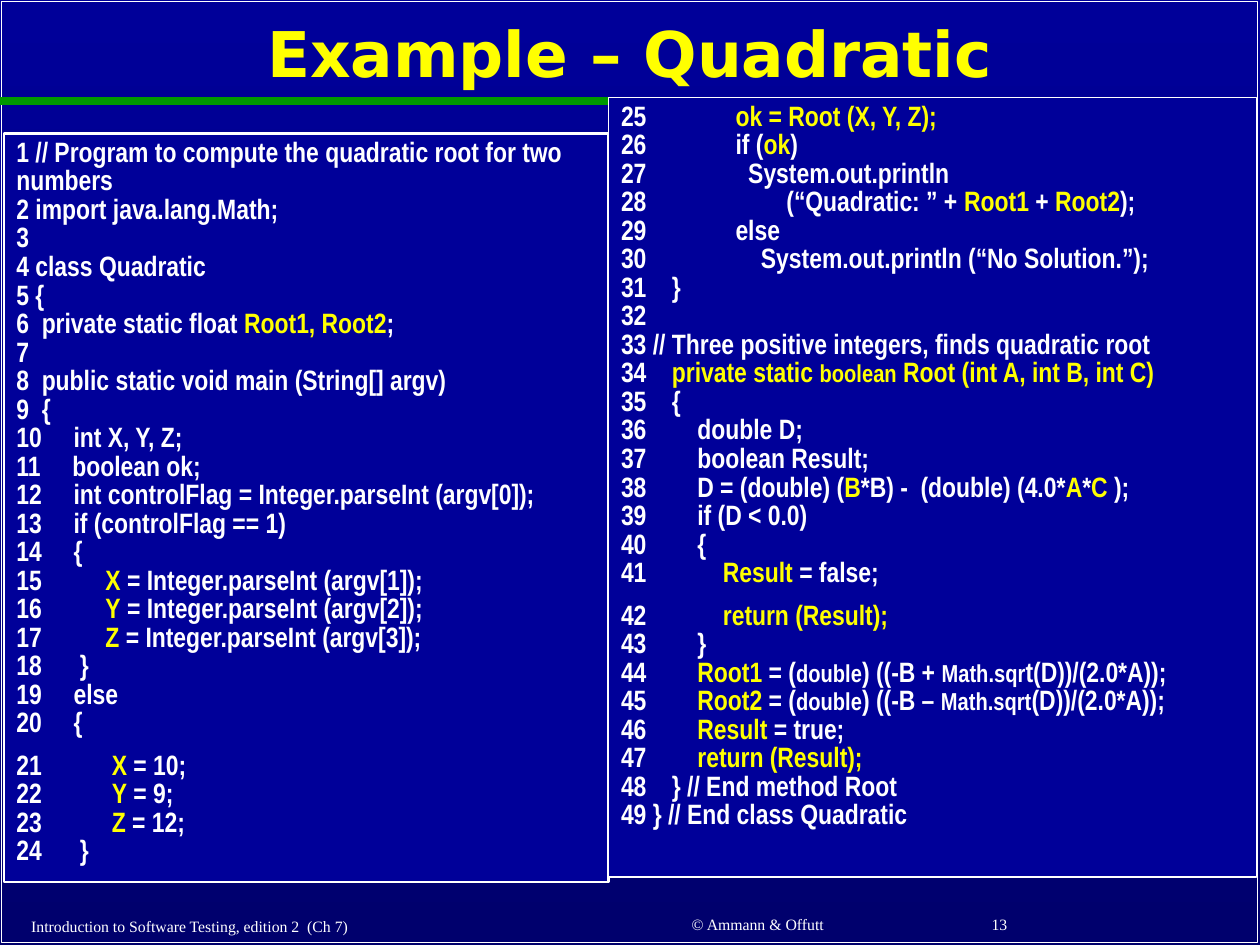
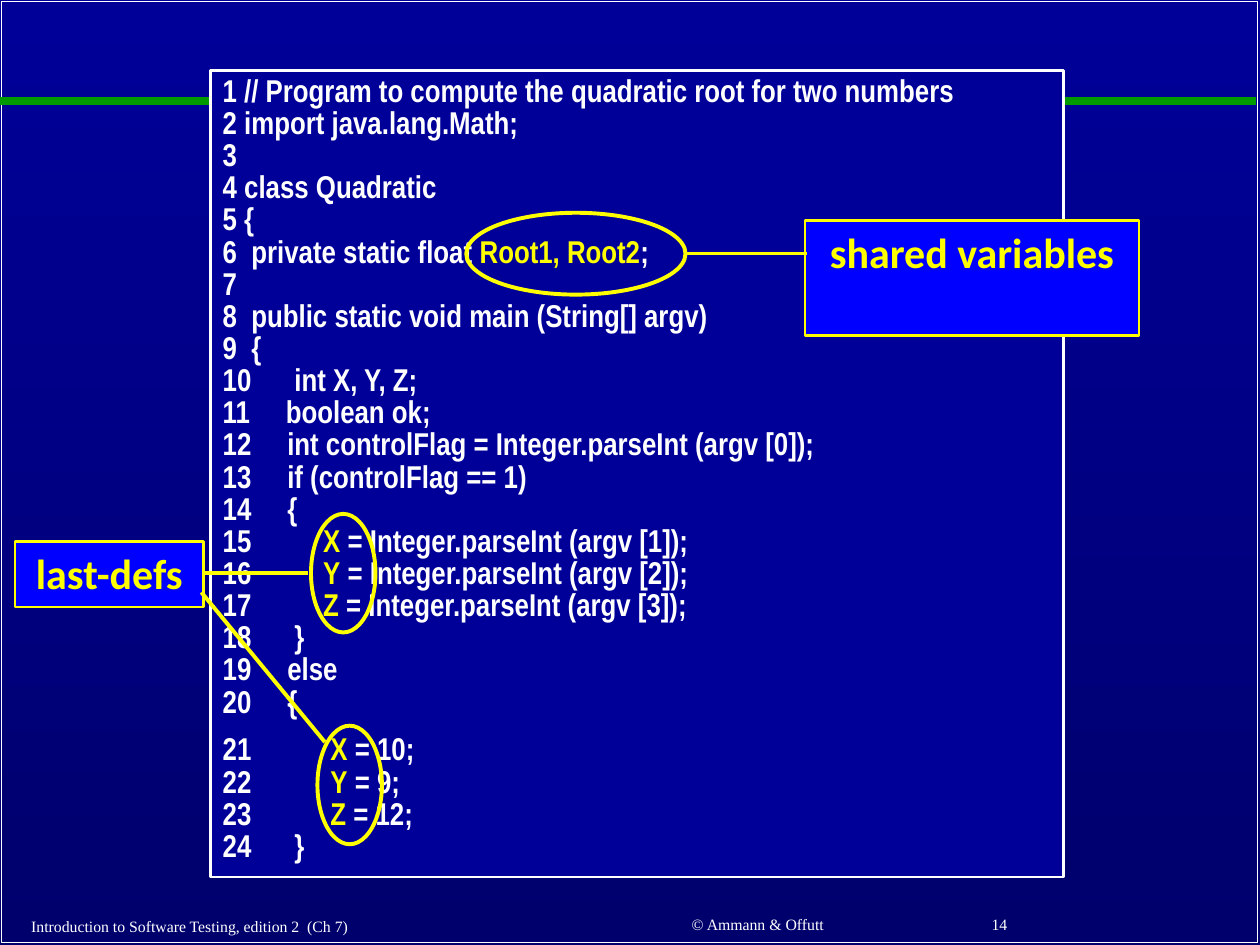
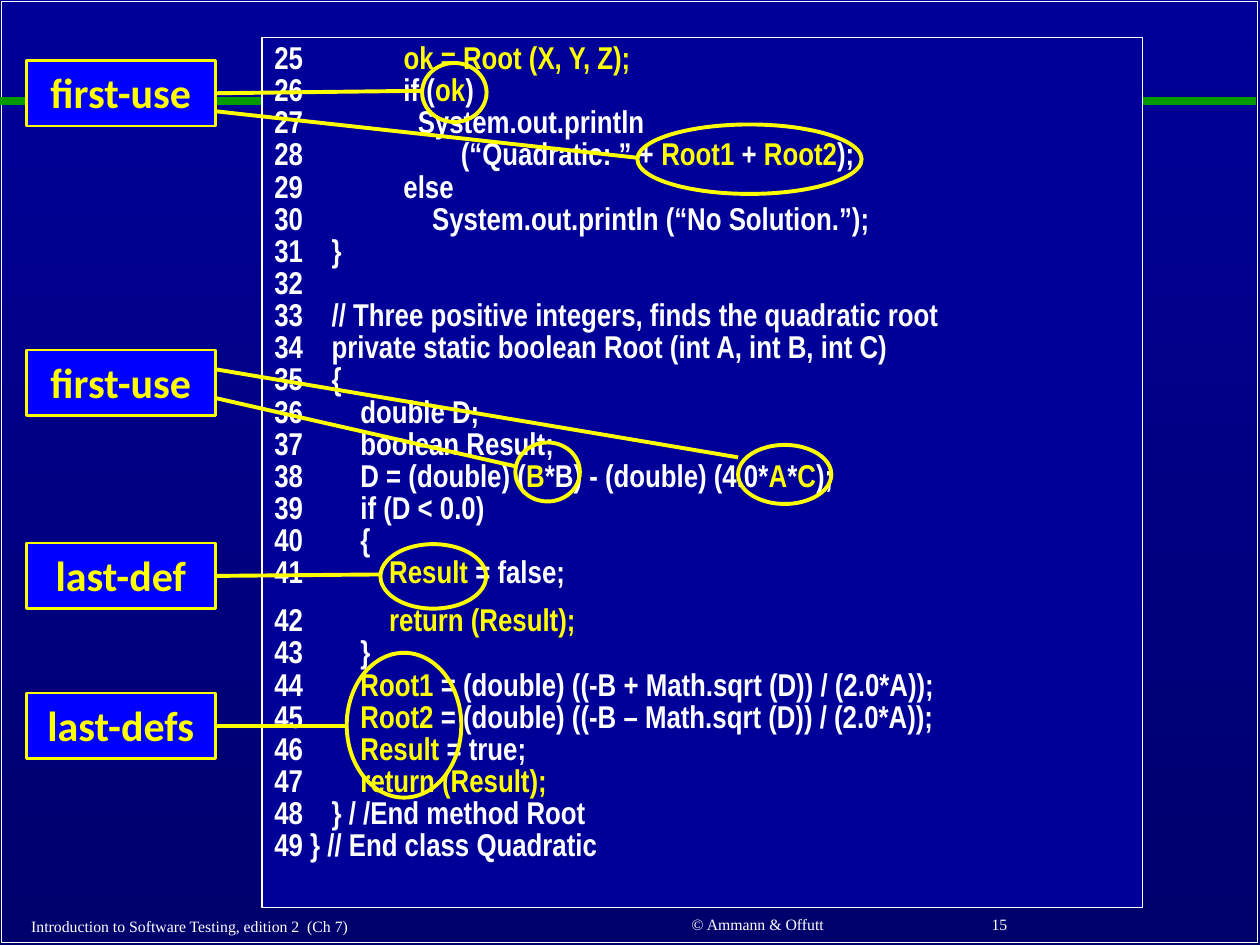
"""Three slides on coupling data flow in the Quadratic program."""
import copy
from dataclasses import dataclass

from lxml import etree
from pptx import Presentation
from pptx import util as u
from pptx.dml.color import RGBColor
from pptx.enum import shapes, text
from pptx.oxml.ns import qn


@dataclass(frozen=True)
class Theme:
    """Colours, fonts and type sizes of the deck."""
    white: str = "FFFFFF"
    yellow: str = "FFFF00"
    navy: str = "000099"
    night: str = "00006D"
    blue: str = "0000FF"
    green: str = "009900"
    title_font: str = "DejaVu Sans"
    code_font: str = "Arial Narrow"
    label_font: str = "Calibri"
    footer_font: str = "Times New Roman"
    title: int = 36
    label: int = 24
    code: int = 18
    code_small: int = 16
    keyword: int = 14
    footer: int = 9


T = Theme()

# In the code, | turns the highlight on and off, ~ the smaller keyword size.
MAIN = """ // Program to compute the quadratic root for two numbers
 import java.lang.Math;
 
 class Quadratic
 {
  private static float |Root1, Root2|;

  public static void main (String[] argv)
  {
     int X, Y, Z;
     boolean ok;
     int controlFlag = Integer.parseInt (argv[0]);
     if (controlFlag == 1)
     {
          |X| = Integer.parseInt (argv[1]);
          |Y| = Integer.parseInt (argv[2]);
          |Z| = Integer.parseInt (argv[3]);
      }
     else
     {
           |X| = 10;
           |Y| = 9;
           |Z| = 12;
      }""".split("\n")

ROOT = """              |ok = Root (X, Y, Z);|
              if (|ok|)
                System.out.println
                      (“Quadratic: ” + |Root1| + |Root2|);
              else
                  System.out.println (“No Solution.”);
    }

 // Three positive integers, finds quadratic root
    |private static ~boolean~ Root (int A, int B, int C)|
    {
        double D;
        boolean Result;
        D = (double) (|B|*B) -  (double) (4.0*|A|*|C |);
        if (D < 0.0)
        {
            |Result| = false;
            |return (Result);|
        }
        |Root1| = (~double~) ((-B + ~Math.sqr~t(D))/(2.0*A));
        |Root2| = (~double~) ((-B – ~Math.sqrt~(D))/(2.0*A));
        |Result| = true;
        |return (Result);|
    } // End method Root
 } // End class Quadratic""".split("\n")

MAIN_SPACED = {10: "      int X, Y, Z;"}
ROOT_SPACED = {
    33: "    // Three positive integers, finds the quadratic root",
    34: "    private static boolean Root (int A, int B, int C)",
    38: "        D = (double) (|B|*B) - (double) (4.0*|A|*|C|);",
    44: "        |Root1| = (double) ((-B + Math.sqrt (D)) / (2.0*A));",
    45: "        |Root2| = (double) ((-B – Math.sqrt (D)) / (2.0*A));",
    48: "    } / /End method Root",
}


def rgb(value):
    """Turn a hex string into a colour."""
    return RGBColor.from_string(value)


def place(box):
    """Turn centimetres into lengths."""
    return [u.Cm(value) for value in box]


def pieces(line):
    """Yield the parts of a marked-up line as (words, highlighted, small)."""
    for i, part in enumerate(line.split("|")):
        for j, words in enumerate(part.split("~")):
            if words:
                yield words, i % 2 == 1, j % 2 == 1


def write(frame, paragraphs, *, font, size, color=T.white, bold=False,
          align=text.PP_ALIGN.LEFT, anchor=text.MSO_ANCHOR.TOP, spacing=1.0):
    """Fill a text frame; each paragraph is a list of marked-up lines."""
    frame.word_wrap = True
    frame.auto_size = text.MSO_AUTO_SIZE.NONE
    frame.vertical_anchor = anchor
    for i, lines in enumerate(paragraphs):
        para = frame.add_paragraph() if i else frame.paragraphs[0]
        para.alignment = align
        para.line_spacing = spacing
        if i:
            para.space_before = u.Pt(size / 2)
        for n, line in enumerate(lines):
            if n:
                para.add_line_break()
                para._p[-1].append(copy.deepcopy(run._r.rPr))
            for words, highlighted, small in pieces(line):
                run = para.add_run()
                run.text = words
                run.font.name = font
                run.font.size = u.Pt(T.keyword if small else size)
                run.font.bold = bold
                run.font.color.rgb = rgb(T.yellow if highlighted else color)


def outline(parent, kind, box, color, width, fill=None):
    """Add a preset shape with a line and, if given, a fill."""
    shape = parent.shapes.add_shape(kind, *place(box))
    shape.shadow.inherit = False
    if fill:
        shape.fill.solid()
        shape.fill.fore_color.rgb = rgb(fill)
    else:
        shape.fill.background()
    shape.line.color.rgb = rgb(color)
    shape.line.width = u.Pt(width)
    return shape


def line(parent, ends, color, width):
    """Add a straight line without a shadow."""
    link = parent.shapes.add_connector(shapes.MSO_CONNECTOR.STRAIGHT, *place(ends))
    link.line.color.rgb = rgb(color)
    link.line.width = u.Pt(width)
    etree.SubElement(link._element.spPr, qn("a:effectLst"))
    return link


def dress_master(prs, slide):
    """Give the master its gradient, white frame and green rule."""
    master = prs.slide_master
    fill = master.background.fill
    fill.gradient()
    fill.gradient_angle = 270
    for stop, color in zip(fill.gradient_stops, (T.navy, T.night)):
        stop.color.rgb = rgb(color)
    frame = outline(slide, shapes.MSO_SHAPE.RECTANGLE,
                    (0.03, 0.03, 25.32, 18.97), T.white, 1)
    rule = line(slide, (0, 2.03, 25.32, 2.03), T.green, 4.5)
    for part in (frame, rule):
        master.shapes._spTree.append(part._element)


def footers(slide, number):
    """Add book, authors and page number at the bottom."""
    left, center = text.PP_ALIGN.LEFT, text.PP_ALIGN.CENTER
    for words, box, align in (
            ("© Ammann & Offutt", (11.25, 18.31, 8.05, 0.66), center),
            (str(number), (19.74, 18.29, 5.28, 0.69), left),
            ("Introduction to Software Testing, edition 2  (Ch 7)",
             (0.38, 18.34, 10.44, 0.66), left)):
        write(slide.shapes.add_textbox(*place(box)).text_frame, [[words]],
              font=T.footer_font, size=T.footer, align=align,
              anchor=text.MSO_ANCHOR.MIDDLE)


def title(slide, words):
    """Move and format the title placeholder."""
    heading = slide.shapes.title
    heading.left, heading.top, heading.width, heading.height = place(
        (1.9, 0.28, 21.59, 1.73))
    write(heading.text_frame, [[words]], font=T.title_font, size=T.title,
          color=T.yellow, bold=True, align=text.PP_ALIGN.CENTER,
          anchor=text.MSO_ANCHOR.MIDDLE, spacing=0.9)


def listing(slide, box, code, first, split, size, border, changes=None):
    """Add a numbered code box; line number split opens a second paragraph."""
    changes = changes or {}
    lines = [f"{n}{changes.get(n, words)}" for n, words in enumerate(code, first)]
    panel = outline(slide, shapes.MSO_SHAPE.RECTANGLE, box, T.white, border, T.navy)
    cut = split - first
    write(panel.text_frame, [lines[:cut], lines[cut:]], font=T.code_font,
          size=size, bold=True, spacing=0.85)


def callout(slide, label, box, marks):
    """Add a grouped label with ovals, each joined to it by a line."""
    group = slide.shapes.add_group_shape()
    tag = outline(group, shapes.MSO_SHAPE.RECTANGLE, box, T.yellow, 1.5, T.blue)
    write(tag.text_frame, [[label]], font=T.label_font, size=T.label,
          color=T.yellow, bold=True, align=text.PP_ALIGN.CENTER)
    for oval, ends in marks:
        outline(group, shapes.MSO_SHAPE.OVAL, oval, T.yellow, 2.25)
        line(group, ends, T.yellow, 2.25)


def whole_program(slide):
    """Show both halves of the program side by side."""
    title(slide, "Example – Quadratic")
    listing(slide, (0.08, 2.69, 12.19, 15.09), MAIN, 1, 21, T.code_small, 1.5)
    listing(slide, (12.27, 1.96, 13.06, 15.72), ROOT, 25, 42, T.code_small, 0.75)


def main_definitions(slide):
    """Mark the shared variables and last-defs in the first half."""
    code = [words.replace("argv[", "argv [") for words in MAIN]
    listing(slide, (4.24, 1.42, 17.2, 16.26), code, 1, 21, T.code, 1.5, MAIN_SPACED)
    callout(slide, "last-defs", (0.3, 10.92, 3.81, 1.32), [
        ((6.27, 10.36, 1.3, 2.39), (6.2, 11.56, 4.14, 11.56)),
        ((6.4, 14.63, 1.3, 2.39), (6.55, 14.96, 4.06, 11.94))])
    callout(slide, "shared variables", (16.23, 4.45, 6.73, 2.31), [
        ((9.4, 4.29, 4.42, 1.65), (16.26, 5.11, 13.82, 5.11))])


def root_uses(slide):
    """Mark first-uses and last-defs in the second half."""
    listing(slide, (5.28, 0.76, 17.75, 17.53), ROOT, 25, 42, T.code, 0.75, ROOT_SPACED)
    for label, top, marks in (
            ("last-def", 10.95, [
                ((7.67, 10.97, 2.13, 1.3), (7.67, 11.58, 4.32, 11.61))]),
            ("first-use", 1.22, [
                ((8.51, 1.27, 1.3, 1.19), (8.51, 1.83, 4.32, 1.88)),
                ((12.85, 2.51, 4.52, 1.4), (12.85, 3.18, 4.32, 2.24))]),
            ("first-use", 7.06, [
                ((10.39, 8.92, 1.3, 1.19), (10.39, 9.4, 4.37, 8.03)),
                ((14.88, 8.97, 1.88, 1.19), (14.88, 9.22, 4.32, 7.44))]),
            ("last-defs", 13.97, [
                ((6.99, 13.16, 2.31, 2.92), (6.99, 14.63, 4.32, 14.63))])):
        callout(slide, label, (0.53, top, 3.81, 1.32), marks)


def main():
    """Build the deck."""
    prs = Presentation()
    prs.slide_width, prs.slide_height = u.Cm(25.4), u.Cm(19.05)
    title_only, blank = prs.slide_layouts[5], prs.slide_layouts[6]
    pages = ((title_only, whole_program), (blank, main_definitions),
             (blank, root_uses))
    for number, (layout, fill_page) in enumerate(pages, 13):
        slide = prs.slides.add_slide(layout)
        if number == 13:
            dress_master(prs, slide)
        footers(slide, number)
        fill_page(slide)
    prs.save("out.pptx")


main()
